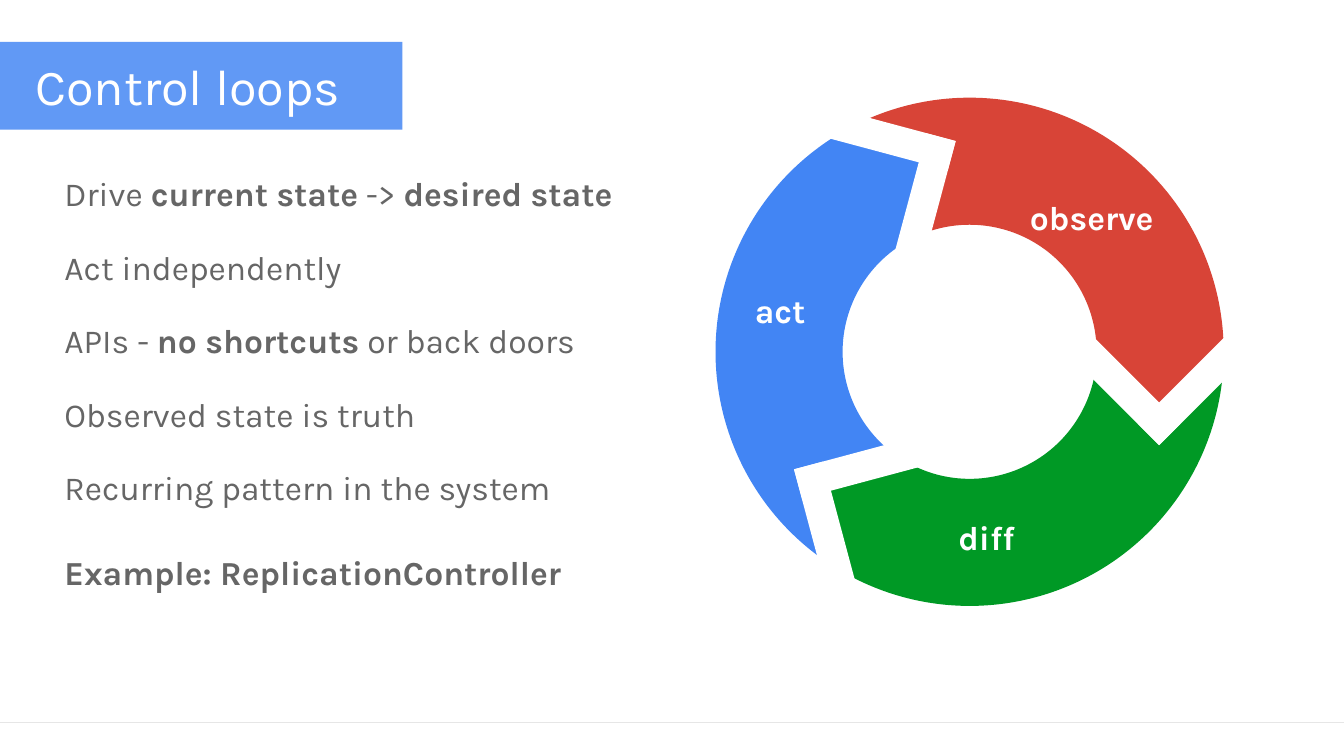
from dataclasses import dataclass
from math import cos, radians, sin

from lxml.etree import SubElement
from pptx import Presentation
from pptx.dml.color import RGBColor
from pptx.enum.shapes import MSO_CONNECTOR, MSO_SHAPE
from pptx.enum.text import MSO_ANCHOR
from pptx.oxml.ns import qn
from pptx.shapes.autoshape import Shape
from pptx.slide import Slide
from pptx.util import Pt

FONT = "Karla"
WHITE = RGBColor(0xFF, 0xFF, 0xFF)
GREY = RGBColor(0x66, 0x66, 0x66)
RULE_GREY = RGBColor(0xE6, 0xE6, 0xE6)
BLUE = RGBColor(0x42, 0x85, 0xF4)
RED = RGBColor(0xD8, 0x44, 0x37)
GREEN = RGBColor(0x00, 0x99, 0x25)

PAGE_WIDTH, PAGE_HEIGHT = 960, 540
RING_X, RING_Y = 692.6, 251.3
RING_SIZE = 363
ARC_START = 143.762
ARC_THICKNESS = 0.25


@dataclass(frozen=True)
class Segment:
    color: RGBColor
    turn: int
    label: str
    label_left: float
    label_top: float


@dataclass(frozen=True)
class Block:
    offset_x: float
    offset_y: float
    width: float
    height: float
    angle: int
    color: RGBColor | None = None


@dataclass(frozen=True)
class Span:
    text: str
    bold: bool = False


@dataclass(frozen=True)
class Line:
    spans: tuple[Span, ...]
    gap: float = 19.3


SEGMENTS = (
    Segment(RED, 0, "observe", 728.6, 133.2),
    Segment(BLUE, 240, "act", 532.1, 200.2),
    Segment(GREEN, 120, "diff", 677.5, 362.2),
)

ARROWHEAD = (
    Block(135.4, 5, 72, 72, 45),
    Block(176.4, 10.4, 21.6, 137.5, 225, WHITE),
    Block(94.3, 10.4, 21.6, 137.5, 135, WHITE),
)

LINES = (
    Line((Span("Drive "), Span("current state", True), Span(" -> "),
          Span("desired state", True)), 0),
    Line((Span("Act independently"),)),
    Line((Span("APIs - "), Span("no shortcuts", True), Span(" or back doors"))),
    Line((Span("Observed state is truth"),)),
    Line((Span("Recurring pattern in the system"),)),
    Line((Span("Example: ReplicationController", True),), 27.6),
)


def add_filled(page: Slide, kind: MSO_SHAPE, left: float, top: float,
               width: float, height: float, color: RGBColor) -> Shape:
    shape = page.shapes.add_shape(kind, Pt(left), Pt(top), Pt(width), Pt(height))
    shape.shadow.inherit = False
    shape.fill.solid()
    shape.fill.fore_color.rgb = color
    shape.line.fill.background()
    return shape


def add_text_box(page: Slide, left: float, top: float,
                 width: float, height: float) -> Shape:
    box = page.shapes.add_textbox(Pt(left), Pt(top), Pt(width), Pt(height))
    frame = box.text_frame
    frame.word_wrap = True
    frame.margin_left = frame.margin_right = Pt(7.2)
    frame.margin_top = frame.margin_bottom = Pt(7.2)
    return box


def add_rule(page: Slide) -> None:
    rule = page.shapes.add_connector(
        MSO_CONNECTOR.STRAIGHT, Pt(PAGE_WIDTH), Pt(516), Pt(0), Pt(516))
    rule.line.color.rgb = RULE_GREY
    rule.line.width = Pt(0.75)
    SubElement(rule._element.spPr, qn("a:effectLst"))


def add_title(page: Slide) -> None:
    banner = add_filled(page, MSO_SHAPE.RECTANGLE, 0, 30, 287.5, 62.7, BLUE)
    color = next(banner._element.spPr.iter(qn("a:srgbClr")))
    SubElement(color, qn("a:alpha")).set("val", "83000")
    frame = banner.text_frame
    frame.vertical_anchor = MSO_ANCHOR.MIDDLE
    frame.margin_left = Pt(25.4)
    frame.margin_right = Pt(9.4)
    frame.margin_top = frame.margin_bottom = Pt(5)
    para = frame.paragraphs[0]
    para.text = "Control loops"
    style_paragraph(para, 36, WHITE)


def style_paragraph(para, size: float, color: RGBColor) -> None:
    para.alignment = 1
    para.font.name = FONT
    para.font.size = Pt(size)
    para.font.color.rgb = color


def add_body(page: Slide) -> None:
    frame = add_text_box(page, 38.9, 112.3, 437.8, 387.4).text_frame
    for index, line in enumerate(LINES):
        para = frame.add_paragraph() if index else frame.paragraphs[0]
        style_paragraph(para, 24, GREY)
        para.line_spacing = 1.15
        para.space_before = Pt(line.gap)
        for span in line.spans:
            run = para.add_run()
            run.text = span.text
            run.font.bold = span.bold


def add_arc(page: Slide, segment: Segment) -> None:
    arc = add_filled(page, MSO_SHAPE.BLOCK_ARC, RING_X - RING_SIZE / 2,
                     RING_Y - RING_SIZE / 2, RING_SIZE, RING_SIZE, segment.color)
    for index, value in enumerate((ARC_START, 0, ARC_THICKNESS)):
        arc.adjustments[index] = value
    arc.rotation = segment.turn


def add_arrowhead(page: Slide, segment: Segment) -> None:
    turn = radians(segment.turn)
    for block in ARROWHEAD:
        center_x = RING_X + block.offset_x * cos(turn) - block.offset_y * sin(turn)
        center_y = RING_Y + block.offset_x * sin(turn) + block.offset_y * cos(turn)
        shape = add_filled(page, MSO_SHAPE.RECTANGLE, center_x - block.width / 2,
                           center_y - block.height / 2, block.width, block.height,
                           block.color or segment.color)
        shape.rotation = (block.angle + segment.turn) % 360


def add_label(page: Slide, segment: Segment) -> None:
    box = add_text_box(page, segment.label_left, segment.label_top, 167.8, 51.1)
    para = box.text_frame.paragraphs[0]
    para.text = segment.label
    style_paragraph(para, 24, WHITE)
    para.font.bold = True


def main() -> None:
    deck = Presentation()
    deck.slide_width, deck.slide_height = Pt(PAGE_WIDTH), Pt(PAGE_HEIGHT)
    page = deck.slides.add_slide(deck.slide_layouts[6])
    add_rule(page)
    add_title(page)
    add_body(page)
    for segment in SEGMENTS:
        add_arc(page, segment)
    for segment in sorted(SEGMENTS, key=lambda item: item.turn):
        add_arrowhead(page, segment)
    for segment in SEGMENTS:
        add_label(page, segment)
    deck.save("out.pptx")


if __name__ == "__main__":
    main()
